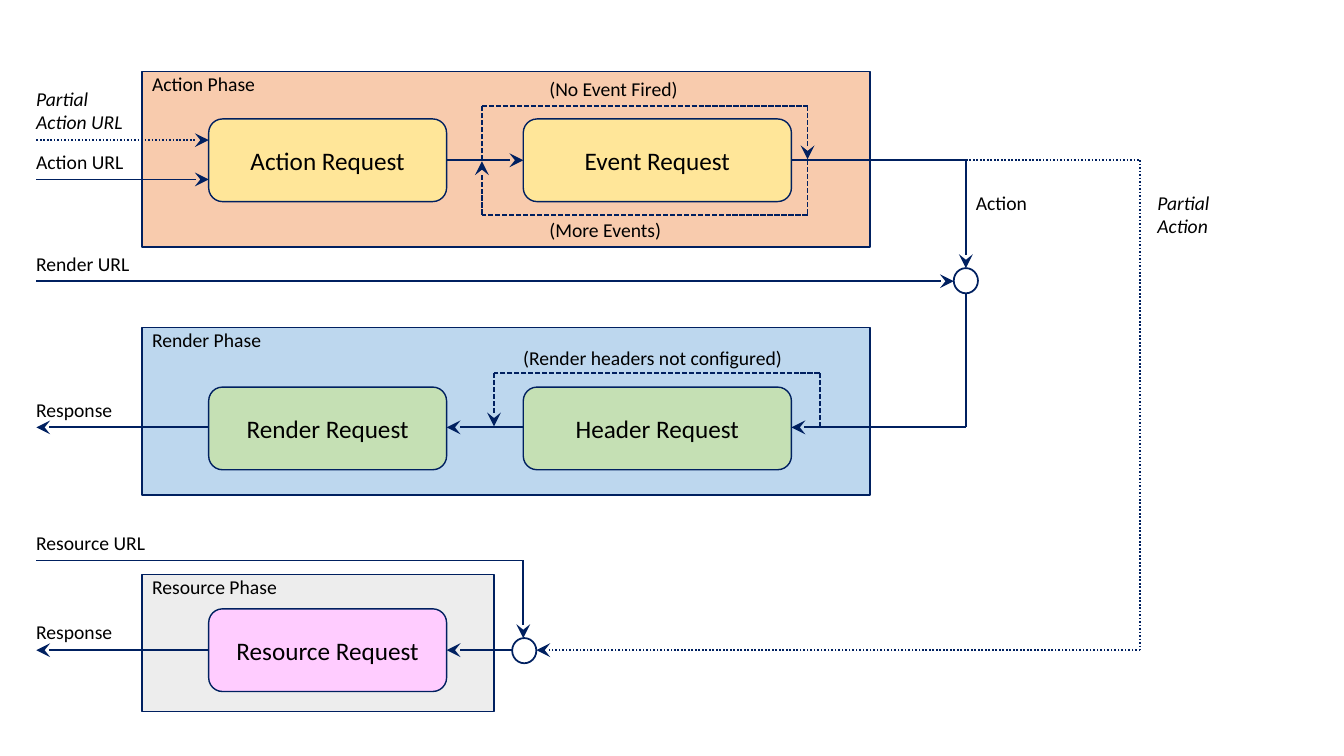
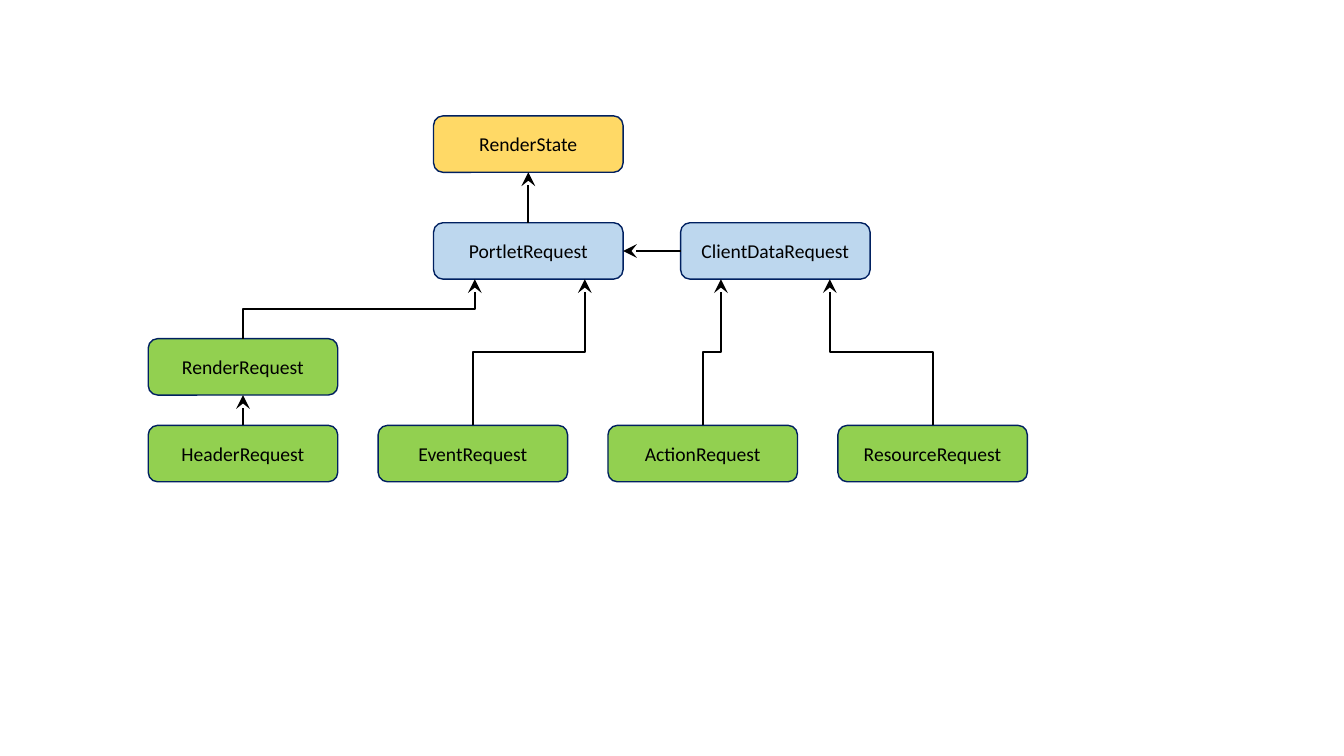
from itertools import pairwise

from lxml.etree import SubElement
from pptx import Presentation
from pptx.dml.color import RGBColor
from pptx.enum.dml import MSO_LINE as Dash
from pptx.enum.shapes import MSO_CONNECTOR as Connector, MSO_SHAPE as Shape
from pptx.enum.text import MSO_ANCHOR as Anchor, PP_ALIGN as Align
from pptx.oxml.ns import qn
from pptx.util import Pt

EMU_PER_PX = 9144
BLANK_LAYOUT = 6
COLORS = {
    "ink": "000000",
    "navy": "002060",
    "action_phase": "F8CBAD",
    "action": "FFE699",
    "render_phase": "BDD7EE",
    "render": "C5E0B4",
    "resource_phase": "EDEDED",
    "resource": "FFCCFF",
    "state": "FFD966",
    "base": "BDD7EE",
    "concrete": "92D050",
}


def px(*lengths):
    return [round(length * EMU_PER_PX) for length in lengths]


def color(name):
    return RGBColor.from_string(COLORS[name])


class Diagram:
    font = "Calibri"
    label_size = 14

    def __init__(self, width, height):
        self.presentation = Presentation()
        self.presentation.slide_width, self.presentation.slide_height = px(width, height)
        self.slide = None
        self.line_color = "navy"
        self.line_width = 1.25

    def new_slide(self, line_color, line_width):
        layout = self.presentation.slide_layouts[BLANK_LAYOUT]
        self.slide = self.presentation.slides.add_slide(layout)
        self.line_color = line_color
        self.line_width = line_width

    def set_text(self, text_frame, text, size, align, italic=False):
        text_frame.text = text
        for paragraph in text_frame.paragraphs:
            paragraph.alignment = align
            for run in paragraph.runs:
                run.font.name = self.font
                run.font.size = Pt(size)
                run.font.italic = italic
                run.font.color.rgb = color("ink")

    def outline(self, kind, left, top, width, height, fill=None, line_width=1):
        shape = self.slide.shapes.add_shape(kind, *px(left, top, width, height))
        shape.shadow.inherit = False
        if fill:
            shape.fill.solid()
            shape.fill.fore_color.rgb = color(fill)
        else:
            shape.fill.background()
        shape.line.color.rgb = color("navy")
        shape.line.width = Pt(line_width)
        return shape

    def box(self, text, left, top, width, height, fill, size=18):
        shape = self.outline(Shape.ROUNDED_RECTANGLE, left, top, width, height, fill)
        shape.text_frame.vertical_anchor = Anchor.MIDDLE
        self.set_text(shape.text_frame, text, size, Align.CENTER)

    def label(self, text, left, top, width=144, height=34, italic=False):
        text_box = self.slide.shapes.add_textbox(*px(left, top, width, height))
        text_box.text_frame.word_wrap = True
        self.set_text(text_box.text_frame, text, self.label_size, Align.LEFT, italic)

    def phase(self, text, left, top, width, height, fill):
        self.outline(Shape.RECTANGLE, left, top, width, height, fill)
        self.label(text, left, top - 5, 163)

    def junction(self, left, top):
        self.outline(Shape.FLOWCHART_CONNECTOR, left, top, 24, 25, line_width=1.25)

    def connector(self, kind, start, end, dash=None, arrow=True):
        connector = self.slide.shapes.add_connector(kind, *px(*start, *end))
        connector.line.color.rgb = color(self.line_color)
        connector.line.width = Pt(self.line_width)
        if dash:
            connector.line.dash_style = dash
        properties = connector._element.spPr
        if arrow:
            SubElement(properties.find(qn("a:ln")), qn("a:tailEnd"),
                       type="stealth", w="lg", len="lg")
        SubElement(properties, qn("a:effectLst"))
        return connector

    def route(self, *points, dash=None, arrow=True):
        for start, end in pairwise(points):
            self.connector(Connector.STRAIGHT, start, end, dash, arrow and end == points[-1])

    def elbow_up(self, start, end):
        middle_x, middle_y = (start[0] + end[0]) / 2, (start[1] + end[1]) / 2
        half_rise, half_shift = (start[1] - end[1]) / 2, (end[0] - start[0]) / 2
        connector = self.connector(
            Connector.ELBOW,
            (middle_x - half_rise, middle_y - half_shift),
            (middle_x + half_rise, middle_y + half_shift),
        )
        connector._element.spPr.find(qn("a:xfrm")).set("rot", str(270 * 60000))


def draw_lifecycle(diagram):
    diagram.new_slide("navy", 1.25)

    for phase in (
        ("Action Phase", 141, 71, 722, 174, "action_phase"),
        ("Render Phase", 141, 325, 722, 166, "render_phase"),
        ("Resource Phase", 141, 570, 349, 136, "resource_phase"),
    ):
        diagram.phase(*phase)

    first, second = (207, 236), (519, 266)
    for text, (left, width), top, fill in (
        ("Action Request", first, 118, "action"),
        ("Event Request", second, 118, "action"),
        ("Render Request", first, 384, "render"),
        ("Header Request", second, 384, "render"),
        ("Resource Request", first, 604, "resource"),
    ):
        diagram.box(text, left, top, width, 82, fill)

    diagram.junction(946, 266)
    diagram.junction(508, 633)

    for text, left, top in (
        ("Action URL", 26, 144),
        ("Render URL", 26, 245),
        ("Response", 26, 390),
        ("Resource URL", 26, 522),
        ("Response", 26, 610),
        ("Action", 958, 184),
    ):
        diagram.label(text, left, top)
    diagram.label("(No Event Fired)", 535, 71, 158)
    diagram.label("(More Events)", 535, 211, 158)
    diagram.label("(Render headers not configured)", 509, 338, 288, 41)
    diagram.label("Partial\nAction URL", 26, 81, 124, 57, italic=True)
    diagram.label("Partial\nAction", 1138, 184, 124, 57, italic=True)

    for points in (
        ((36, 178), (207, 178)),
        ((443, 159), (519, 159)),
        ((785, 159), (958, 159), (958, 266)),
        ((36, 279), (946, 279)),
        ((958, 291), (958, 424), (785, 424)),
        ((519, 424), (443, 424)),
        ((207, 424), (36, 424)),
        ((36, 556), (519, 556), (519, 633)),
        ((508, 645), (443, 645)),
        ((207, 645), (36, 645)),
    ):
        diagram.route(*points)

    for points in (
        ((478, 159), (478, 105), (801, 105), (801, 158)),
        ((801, 159), (801, 213), (478, 213), (478, 160)),
        ((813, 424), (813, 370), (490, 370), (490, 423)),
    ):
        diagram.route(*points, dash=Dash.SQUARE_DOT)

    diagram.route((36, 139), (207, 139), dash=Dash.ROUND_DOT)
    diagram.route((958, 159), (1131, 159), (1131, 645), (532, 645), dash=Dash.ROUND_DOT)


def draw_hierarchy(diagram):
    diagram.new_slide("ink", 1.5)
    width, height, column_step = 188, 56, 228
    first_column, bottom_row = 147, 422

    boxes = [
        ("RenderState", 430, 115, "state"),
        ("PortletRequest", 430, 221, "base"),
        ("ClientDataRequest", 675, 221, "base"),
        ("RenderRequest", first_column, 336, "concrete"),
    ]
    leaves = ("HeaderRequest", "EventRequest", "ActionRequest", "ResourceRequest")
    for column, name in enumerate(leaves):
        boxes.append((name, first_column + column * column_step, bottom_row, "concrete"))
    for name, left, top, fill in boxes:
        diagram.box(name, left, top, width, height, fill, diagram.label_size)

    centers = [first_column + width // 2 + column * column_step for column in range(4)]
    diagram.route((524, 221), (524, 171))
    diagram.route((675, 249), (618, 249))
    diagram.route((centers[0], bottom_row), (centers[0], 392))
    diagram.elbow_up((centers[0], 336), (471, 277))
    for center, target in zip(centers[1:], (580, 715, 823)):
        diagram.elbow_up((center, bottom_row), (target, 277))


def main():
    diagram = Diagram(1333, 750)
    draw_lifecycle(diagram)
    draw_hierarchy(diagram)
    diagram.presentation.save("out.pptx")


if __name__ == "__main__":
    main()
